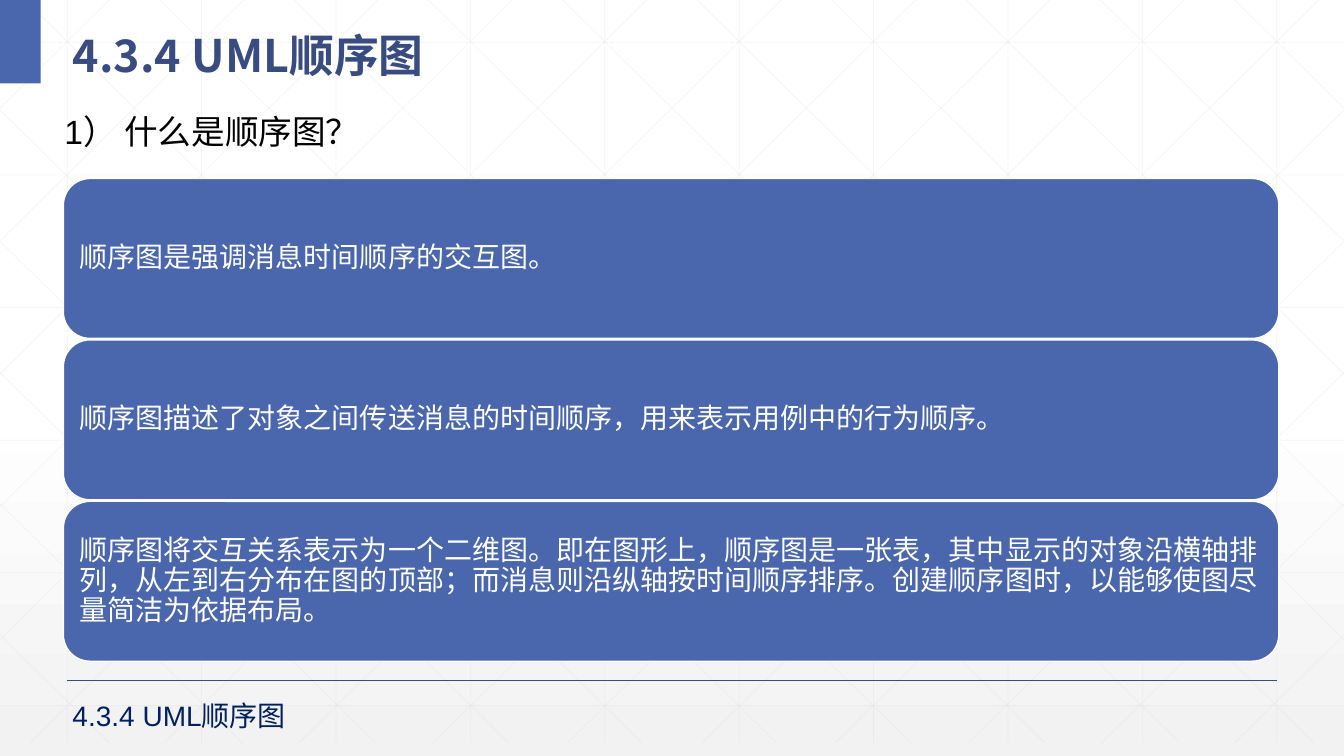
from pptx import Presentation
from pptx.util import Pt
from pptx.dml.color import RGBColor
from pptx.enum.shapes import MSO_SHAPE as Shape, MSO_CONNECTOR as Link
from pptx.enum.text import MSO_ANCHOR as Anchor, MSO_AUTO_SIZE as Auto, PP_ALIGN as Align
from pptx.oxml import parse_xml
from pptx.oxml.ns import qn, nsdecls
from lxml.etree import SubElement

TITLE = "4.3.4 UML顺序图"
HEAD = "1） 什么是顺序图？"
POINTS = [
    "顺序图是强调消息时间顺序的交互图。",
    "顺序图描述了对象之间传送消息的时间顺序，用来表示用例中的行为顺序。",
    "顺序图将交互关系表示为一个二维图。即在图形上，顺序图是一张表，其中显示的对象沿横轴排列，"
    "从左到右分布在图的顶部；而消息则沿纵轴按时间顺序排序。创建顺序图时，以能够使图尽量简洁为依据布局。",
]

WHITE = RGBColor(0xFF, 0xFF, 0xFF)
BLACK = RGBColor(0, 0, 0)
BLUE = RGBColor(0x4A, 0x66, 0xAC)
DARK = RGBColor(0x38, 0x4C, 0x81)
NAVY = RGBColor(0, 0x20, 0x60)
GREY = RGBColor(0xD9, 0xD9, 0xD9)
PALE = RGBColor(0xF2, 0xF2, 0xF2)
SANS = "Noto Sans CJK SC"

WIDE, HIGH, BASE = 960, 540, 530.6
CARD_X, CARD_Y, CARD_W, CARD_H, STEP = 45.3, 127.5, 868.2, 114.2, 115.3

deck = Presentation()
deck.slide_width, deck.slide_height = Pt(WIDE), Pt(HIGH)
slide = deck.slides.add_slide(deck.slide_layouts[6])
shapes = slide.shapes


def paint_back(stops):
    marks = "".join(
        f'<a:gs pos="{pos * 1000}"><a:srgbClr val="{color}"/></a:gs>' for pos, color in stops)
    slide.element.cSld.insert(0, parse_xml(
        f'<p:bg {nsdecls("p", "a")}><p:bgPr><a:gradFill rotWithShape="1"><a:gsLst>{marks}</a:gsLst>'
        '<a:lin ang="5400000" scaled="0"/></a:gradFill><a:effectLst/></p:bgPr></p:bg>'))


def add_line(x1, y1, x2, y2, color, width, alpha=None):
    line = shapes.add_connector(Link.STRAIGHT, Pt(x1), Pt(y1), Pt(x2), Pt(y2))
    line.line.color.rgb = color
    line.line.width = Pt(width)
    props = line._element.spPr
    SubElement(props, qn("a:effectLst"))
    if alpha:
        tint = props.find(".//" + qn("a:srgbClr"))
        SubElement(tint, qn("a:alpha")).set("val", str(alpha * 1000))


def add_mesh(x1, y1, x2, y2):
    add_line(x1, y1, x2, y2, GREY, 0.5, 25)


def add_pair(x1, y1, x2, y2):
    add_mesh(x1, y1, x2, y2)
    add_mesh(WIDE - x1, y1, WIDE - x2, y2)


def add_block(kind, x, y, w, h):
    block = shapes.add_shape(kind, Pt(x), Pt(y), Pt(w), Pt(h))
    block.shadow.inherit = False
    block.fill.solid()
    block.fill.fore_color.rgb = BLUE
    block.line.fill.background()
    return block


def put_text(shape, text, size, color, face="Arial", bold=False, space=1.0, **frame):
    for name, value in frame.items():
        setattr(shape.text_frame, name, value)
    para = shape.text_frame.paragraphs[0]
    para.alignment = Align.LEFT
    para.line_spacing = space
    run = para.add_run()
    run.text = text
    for name, value in {"size": Pt(size), "name": face, "bold": bold}.items():
        setattr(run.font, name, value)
    run.font.color.rgb = color
    SubElement(run.font._element, qn("a:ea")).set("typeface", SANS)


def add_label(x, y, w, h, *text, **style):
    put_text(shapes.add_textbox(Pt(x), Pt(y), Pt(w), Pt(h)), *text, **style)


paint_back([(0, WHITE), (53, WHITE), (100, PALE)])

for i in range(10):
    x = 48 + 96 * i
    add_mesh(x, 0, x, BASE)
for i in range(6):
    y = 30.2 + 94.75 * i
    add_mesh(0, y, WIDE, y)
for i in range(10):
    x, slope = 18 + 96 * i, 0.989
    drop = min(BASE, (WIDE - x) * slope)
    add_pair(x, 0, x + drop / slope, drop)
for i in range(5):
    y = 78.5 + 93.75 * i
    add_pair(0, y, (BASE - y) / 0.986, BASE)

add_line(48, 486, 912, 486, DARK, 1)
add_block(Shape.RECTANGLE, 0, 0, 29, 59.5)
add_label(45, 7.2, 894, 52.6, TITLE, 32, DARK, face=SANS, bold=True, space=1.3,
          word_wrap=True, vertical_anchor=Anchor.MIDDLE)

for i, text in enumerate(POINTS):
    card = add_block(Shape.ROUNDED_RECTANGLE, CARD_X, CARD_Y + STEP * i, CARD_W, CARD_H)
    card.line.color.rgb = WHITE
    card.line.width = Pt(1)
    put_text(card, text, 20, WHITE, space=0.9, word_wrap=True, vertical_anchor=Anchor.MIDDLE,
             margin_left=Pt(6), margin_right=Pt(6), margin_top=Pt(6), margin_bottom=Pt(6))

add_label(39, 75.6, 235.4, 36, HEAD, 24, BLACK, word_wrap=False, auto_size=Auto.SHAPE_TO_FIT_TEXT)
add_label(44.7, 495.4, 435, 31.5, TITLE, 20, NAVY, word_wrap=True, auto_size=Auto.SHAPE_TO_FIT_TEXT)

deck.save("out.pptx")
